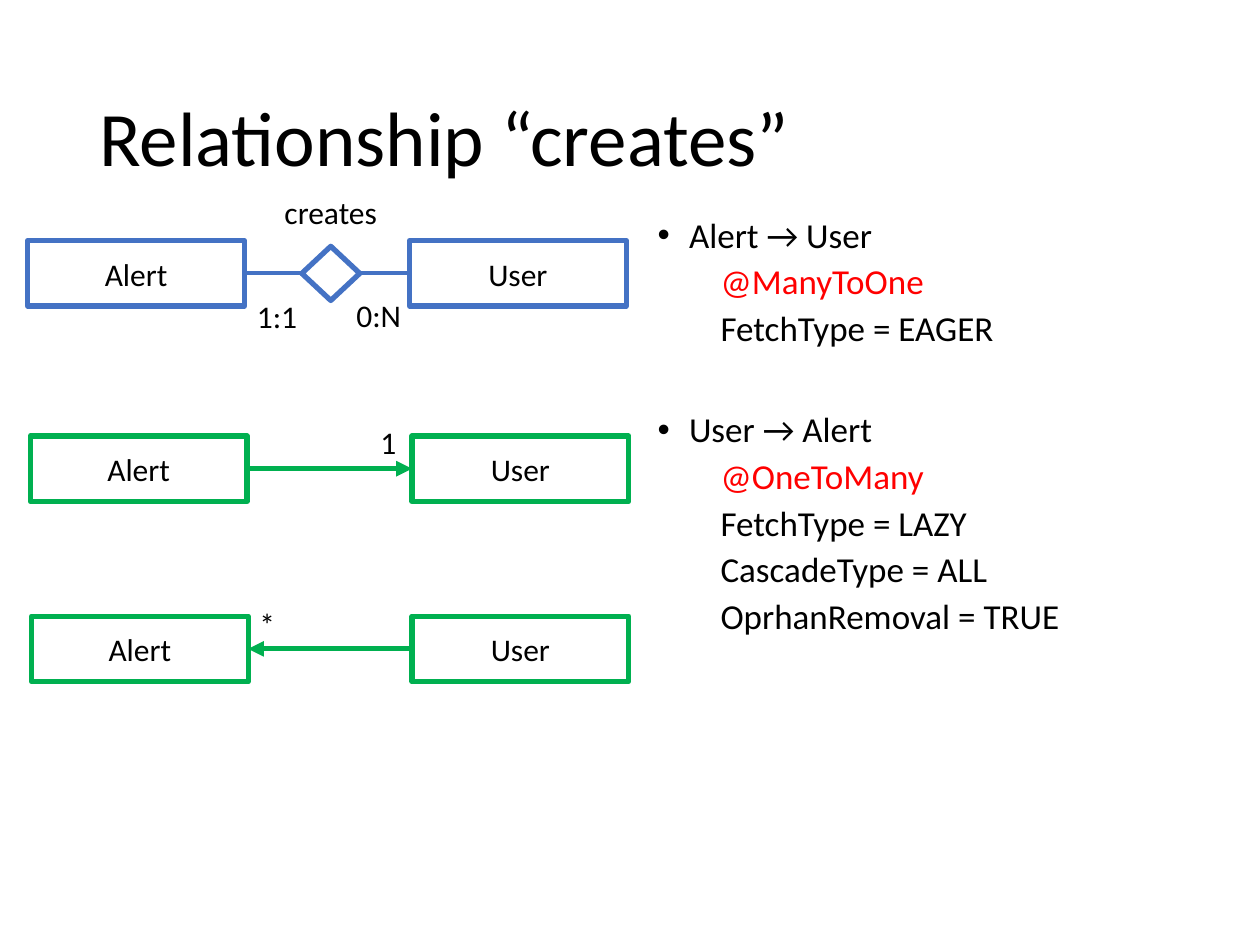
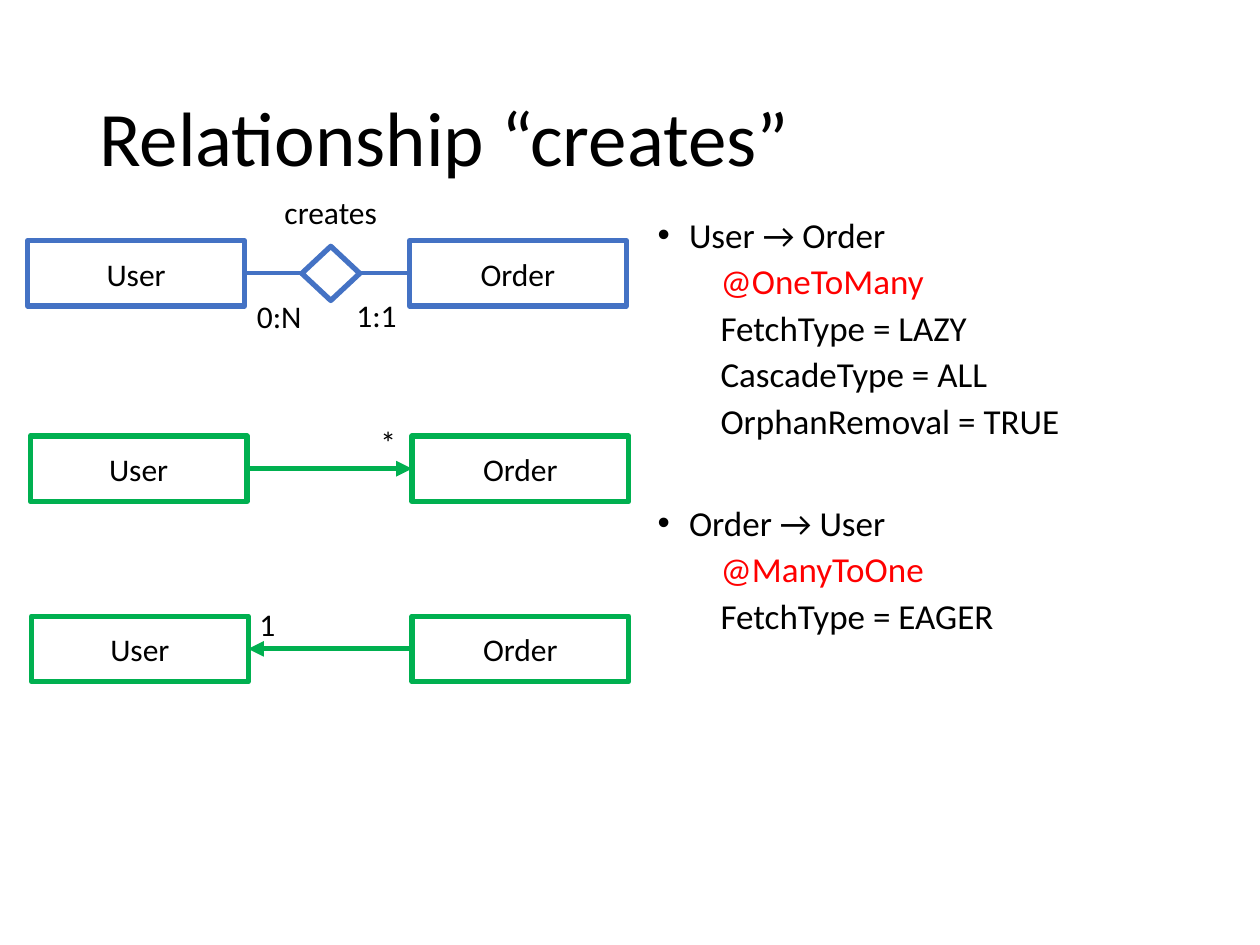
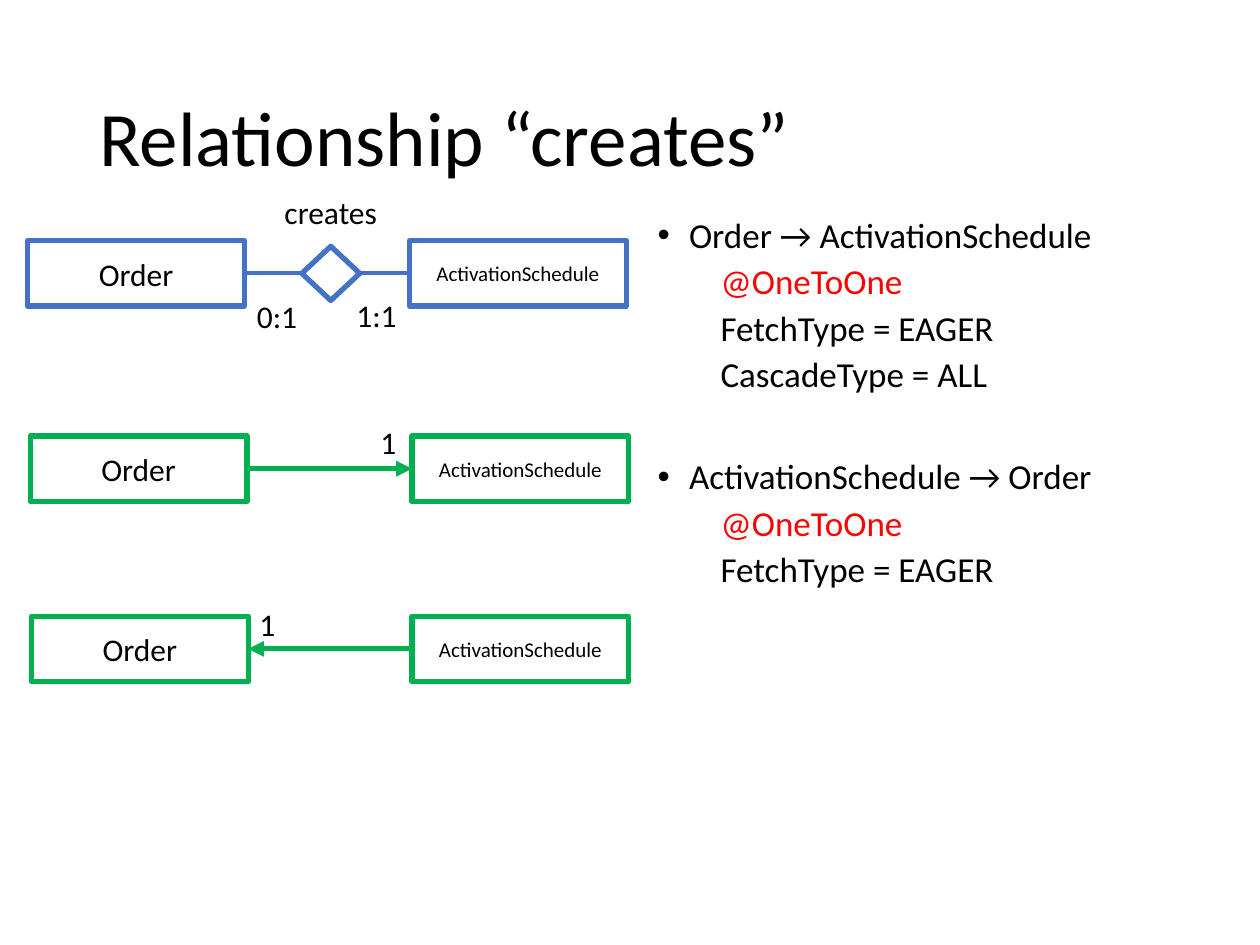
from lxml import etree
from pptx import Presentation
from pptx import util as u
from pptx.dml.color import RGBColor
from pptx.enum import shapes, text
from pptx.oxml import ns

# Content: each slide relates a left entity to a right one
TITLE = "Relationship “creates”"
RELATION = "creates"
RELATIONSHIPS = [
    {
        "left": "Alert", "right": "User",
        "cardinality": ("1:1", "0:N"), "multiplicity": ("1", "*"),
        "mappings": [
            ("Alert → User", "@ManyToOne", ["FetchType = EAGER"]),
            ("User → Alert", "@OneToMany",
             ["FetchType = LAZY", "CascadeType = ALL", "OprhanRemoval = TRUE"]),
        ],
    },
    {
        "left": "User", "right": "Order",
        "cardinality": ("0:N", "1:1"), "multiplicity": ("*", "1"),
        "mappings": [
            ("User → Order", "@OneToMany",
             ["FetchType = LAZY", "CascadeType = ALL", "OrphanRemoval = TRUE"]),
            ("Order → User", "@ManyToOne", ["FetchType = EAGER"]),
        ],
    },
    {
        "left": "Order", "right": "ActivationSchedule",
        "cardinality": ("0:1", "1:1"), "multiplicity": ("1", "1"),
        "mappings": [
            ("Order → ActivationSchedule", "@OneToOne",
             ["FetchType = EAGER", "CascadeType = ALL"]),
            ("ActivationSchedule → Order", "@OneToOne", ["FetchType = EAGER"]),
        ],
        "mappings_width": 4.99,
    },
]

# Shared style
COLORS = {"text": "000000", "annotation": "FF0000", "paper": "FFFFFF",
          "entity": "4472C4", "reference": "00B050"}
FONT = "Calibri"
LABEL_SIZE, SMALL_SIZE, LONG_NAME = 18, 12, 10
BOX_WIDTH, BOX_HEIGHT = 1.72, 0.52
LABEL_HEIGHT = 0.4
LABEL_WIDTHS = {"0:N": 0.56, "0:1": 0.53, "1:1": 0.53, "1": 0.33, "*": 0.33}

# Rows: left edge of each box, and their top
ENTITY_ROW = (0.22, 3.25, 1.91)
REFERENCE_ROWS = [
    # row, arrowhead element, multiplicity label position
    ((0.24, 3.27, 3.46), "a:headEnd", (2.92, 3.31)),
    ((0.25, 3.27, 4.89), "a:tailEnd", (1.96, 4.75)),
]


def color(name):
    return RGBColor.from_string(COLORS[name])


def inches(*lengths):
    return [u.Inches(length) for length in lengths]


def add_run(paragraph, words, size, color_name="text"):
    run = paragraph.add_run()
    run.text = words
    run.font.name = FONT
    run.font.size = u.Pt(size)
    run.font.color.rgb = color(color_name)


def add_text_frame(slide, left, top, width, height, wrap=True):
    frame = slide.shapes.add_textbox(*inches(left, top, width, height)).text_frame
    frame.word_wrap = wrap
    return frame


def add_label(slide, words, left, top, width, wrap=False):
    frame = add_text_frame(slide, left, top, width, LABEL_HEIGHT, wrap)
    frame.auto_size = text.MSO_AUTO_SIZE.SHAPE_TO_FIT_TEXT
    add_run(frame.paragraphs[0], words, LABEL_SIZE)


def add_outline(slide, kind, left, top, width, height, line_color, filled):
    shape = slide.shapes.add_shape(kind, *inches(left, top, width, height))
    shape.shadow.inherit = False
    if filled:
        shape.fill.solid()
        shape.fill.fore_color.rgb = color("paper")
    else:
        shape.fill.background()
    shape.line.color.rgb = color(line_color)
    shape.line.width = u.Pt(3)
    return shape


def add_boxes(slide, relationship, row, line_color, filled=False):
    *lefts, top = row
    for name, left in zip((relationship["left"], relationship["right"]), lefts):
        shape = add_outline(slide, shapes.MSO_SHAPE.RECTANGLE, left, top,
                            BOX_WIDTH, BOX_HEIGHT, line_color, filled)
        frame = shape.text_frame
        frame.vertical_anchor = text.MSO_ANCHOR.MIDDLE
        paragraph = frame.paragraphs[0]
        paragraph.alignment = text.PP_ALIGN.CENTER
        add_run(paragraph, name, SMALL_SIZE if len(name) > LONG_NAME else LABEL_SIZE)


def add_line(slide, start, end, y, line_color, width, arrowhead=None):
    line = slide.shapes.add_connector(shapes.MSO_CONNECTOR.STRAIGHT,
                                      *inches(start, y, end, y))
    line.line.color.rgb = color(line_color)
    line.line.width = u.Pt(width)
    if arrowhead:
        etree.SubElement(line.line._get_or_add_ln(), ns.qn(arrowhead), type="triangle")
    etree.SubElement(line._element.spPr, ns.qn("a:effectLst"))


def add_title(slide):
    frame = add_text_frame(slide, 0.69, 0.4, 8.62, 1.45)
    frame.vertical_anchor = text.MSO_ANCHOR.MIDDLE
    paragraph = frame.paragraphs[0]
    paragraph.line_spacing = 0.9
    add_run(paragraph, TITLE, 44)


def add_mappings(slide, relationship):
    frame = add_text_frame(slide, 5.12, 1.68,
                           relationship.get("mappings_width", 4.25), 4.76)
    # words, level, colour, space before
    lines = []
    for heading, annotation, settings in relationship["mappings"]:
        lines.append((heading, 0, "text", 36.6 if lines else 10))
        lines.append((annotation, 1, "annotation", 5))
        lines += [(setting, 1, "text", 5) for setting in settings]

    for index, (words, level, color_name, space) in enumerate(lines):
        paragraph = frame.add_paragraph() if index else frame.paragraphs[0]
        paragraph.level = level
        paragraph.line_spacing = 0.9
        paragraph.space_before = u.Pt(space)
        properties = paragraph._p.get_or_add_pPr()
        properties.set("marL", str(u.Inches(0.5 if level else 0.25)))
        properties.set("indent", str(u.Inches(0 if level else -0.25)))
        if level == 0:
            etree.SubElement(properties, ns.qn("a:buFont"), typeface="Arial")
            etree.SubElement(properties, ns.qn("a:buChar"), char="•")
        add_run(paragraph, words, 20, color_name)


def add_entity_diagram(slide, relationship):
    left, right, top = ENTITY_ROW
    middle = top + BOX_HEIGHT / 2
    add_boxes(slide, relationship, ENTITY_ROW, "entity", filled=True)
    diamond = add_outline(slide, shapes.MSO_SHAPE.DIAMOND, 2.41, 1.94, 0.43, 0.46,
                          "entity", filled=True)
    diamond.rotation = 90
    add_line(slide, right, 2.86, middle, "entity", 2.25)
    add_line(slide, 2.4, left + BOX_WIDTH, middle, "entity", 2.25)
    positions = [(1.94, 2.31), (2.73, 2.3)]
    for words, position in zip(relationship["cardinality"], positions):
        add_label(slide, words, *position, LABEL_WIDTHS[words])
    add_label(slide, RELATION, 2.16, 1.48, 0.94, wrap=True)


def add_reference_diagrams(slide, relationship):
    for words, (row, arrowhead, position) in zip(relationship["multiplicity"],
                                                 REFERENCE_ROWS):
        left, right, top = row
        add_boxes(slide, relationship, row, "reference")
        add_line(slide, right, left + BOX_WIDTH, top + BOX_HEIGHT / 2,
                 "reference", 3, arrowhead)
        add_label(slide, words, *position, LABEL_WIDTHS[words])


def main():
    presentation = Presentation()
    presentation.slide_width, presentation.slide_height = inches(10, 7.5)
    for relationship in RELATIONSHIPS:
        slide = presentation.slides.add_slide(presentation.slide_layouts[6])
        add_title(slide)
        add_mappings(slide, relationship)
        add_entity_diagram(slide, relationship)
        add_reference_diagrams(slide, relationship)
    presentation.save("out.pptx")


if __name__ == "__main__":
    main()
